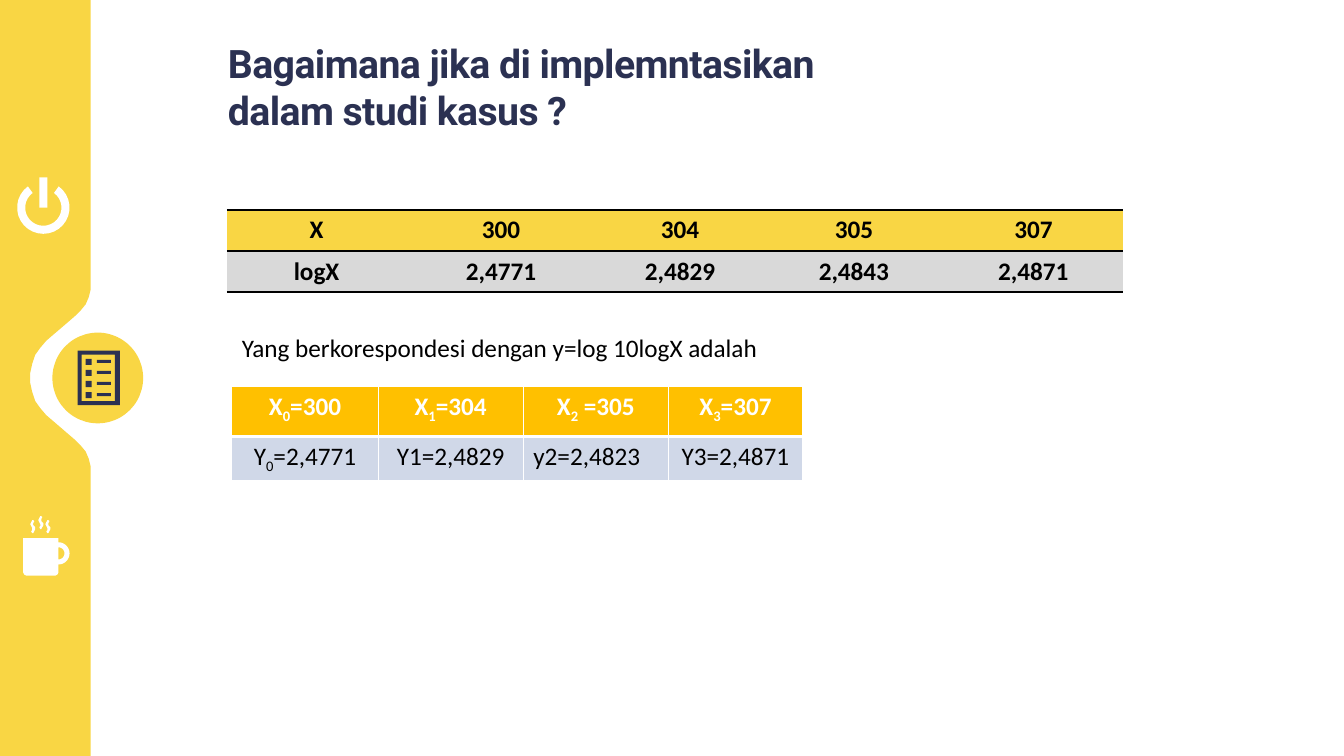
from math import cos, radians, sin
from lxml.etree import SubElement
from pptx import Presentation
from pptx.dml.color import RGBColor
from pptx.enum.shapes import MSO_SHAPE
from pptx.enum.text import MSO_ANCHOR, MSO_AUTO_SIZE, PP_ALIGN
from pptx.oxml.ns import qn
from pptx.util import Inches, Pt

YELLOW, NAVY, WHITE, BLACK = "F9D644", "2B3152", "FFFFFF", "000000"
AMBER, GREY, PALE = "FFC000", "D9D9D9", "D0D8E8"
W, H = 13.33, 7.5
NO_STYLE = "{2D5ABB26-0587-4C30-8999-92F81FD0307C}"

TITLE = "Bagaimana jika di implemntasikan dalam studi kasus ?"
CAPTION = "Yang berkorespondesi dengan y=log 10logX adalah"
LOG_ROWS = [
    ["X", "300", "304", "305", "307"],
    ["logX", "2,4771", "2,4829", "2,4843", "2,4871"],
]
PAIR_ROWS = [
    [("X", "0", "=300"), ("X", "1", "=304"), ("X", "2", " =305"), ("X", "3", "=307")],
    [("Y", "0", "=2,4771"), "Y1=2,4829", "y2=2,4823", "Y3=2,4871"],
]
BAND_EDGE = [
    (0.9, 2.84), (0.9, 2.87), (0.88, 2.95), (0.85, 3.02), (0.8, 3.08), (0.74, 3.14),
    (0.67, 3.2), (0.6, 3.26), (0.53, 3.32), (0.46, 3.38), (0.4, 3.45), (0.35, 3.52),
    (0.32, 3.61), (0.3, 3.7),
]
WISP = [
    (0.35, 5.25), (0.35, 5.23), (0.33, 5.21), (0.33, 5.19), (0.34, 5.17), (0.33, 5.16),
    (0.32, 5.16), (0.31, 5.18), (0.3, 5.2), (0.31, 5.22), (0.32, 5.24), (0.32, 5.26),
    (0.31, 5.27), (0.32, 5.29), (0.33, 5.29),
]
WISP_SHIFTS = [(0, 0), (0.08, -0.04), (0.15, 0)]


def rgb(color):
    return RGBColor.from_string(color)


def paint(sp, color):
    sp.shadow.inherit = False
    sp.fill.solid()
    sp.fill.fore_color.rgb = rgb(color)
    sp.line.fill.background()


def box(x, y, w, h):
    return [(x, y), (x + w, y), (x + w, y + h), (x, y + h)]


def arc(cx, cy, radius, start, end, steps=24):
    angles = [radians(start + (end - start) * i / steps) for i in range(steps + 1)]
    return [(cx + radius * cos(a), cy + radius * sin(a)) for a in angles]


def ring(cx, cy, outer, inner, start, end):
    return arc(cx, cy, outer, start, end) + arc(cx, cy, inner, end, start)


def add_outline(contours, color):
    contours = [[(Inches(x), Inches(y)) for x, y in points] for points in contours]
    builder = s.shapes.build_freeform(*contours[0][0])
    for i, points in enumerate(contours):
        if i:
            builder.move_to(*points[0])
        builder.add_line_segments(points[1:], close=True)
    paint(builder.convert_to_shape(), color)


def format_run(r, size, font, color, bold=False):
    r.font.size, r.font.name, r.font.bold = Pt(size), font, bold
    r.font.color.rgb = rgb(color)


def set_borders(cell, borders):
    tcPr = cell._tc.get_or_add_tcPr()
    for side in "LRTB":
        if side in borders:
            color, width = borders[side]
            ln = SubElement(tcPr, qn("a:ln" + side), w=str(Pt(width)))
            SubElement(SubElement(ln, qn("a:solidFill")), qn("a:srgbClr"), val=color)


def fill_cell(cell, content, color, font_color, bold, borders):
    set_borders(cell, borders)
    cell.fill.solid()
    cell.fill.fore_color.rgb = rgb(color)
    p = cell.text_frame.paragraphs[0]
    p.alignment = PP_ALIGN.CENTER
    parts = [content] if isinstance(content, str) else content
    for i, part in enumerate(parts):
        r = p.add_run()
        r.text = part
        format_run(r, 18, "Calibri", font_color, bold)
        if i == 1:
            r.font._element.set("baseline", "-25000")


def add_grid(rows, x, y, widths, heights, looks):
    frame = s.shapes.add_table(len(rows), len(widths), Inches(x), Inches(y),
                               Inches(sum(widths)), Inches(sum(heights)))
    table = frame.table
    table.first_row = table.horz_banding = False
    table._tbl.tblPr.find(qn("a:tableStyleId")).text = NO_STYLE
    for column, width in zip(table.columns, widths):
        column.width = Inches(width)
    for i, (row, height, look) in enumerate(zip(rows, heights, looks)):
        table.rows[i].height = Inches(height)
        for j, content in enumerate(row):
            fill_cell(table.cell(i, j), content, *look)
    return table


prs = Presentation()
prs.slide_width, prs.slide_height = Inches(W), Inches(H)
s = prs.slides.add_slide(prs.slide_layouts[5])

disc = s.shapes.add_shape(MSO_SHAPE.OVAL, *map(Inches, (0.52, 3.3, 0.9, 0.9)))
paint(disc, YELLOW)
checklist = [box(0.77, 3.48, 0.42, 0.54), box(0.81, 3.52, 0.33, 0.46)[::-1]]
for i in range(4):
    y = 3.56 + 0.11 * i
    checklist += [box(0.85, y, 0.06, 0.06), box(0.96, y + 0.01, 0.14, 0.03)]
add_outline(checklist, NAVY)

lower_edge = [(x, H - y) for x, y in reversed(BAND_EDGE)]
add_outline([[(0, 0), (0.9, 0)] + BAND_EDGE + lower_edge + [(0.9, H), (0, H)]], YELLOW)

power = [ring(0.43, 2.06, 0.26, 0.18, -54, 234), box(0.39, 1.76, 0.08, 0.3)]
mug_body = [(0.23, 5.34), (0.58, 5.34), (0.58, 5.68), (0.57, 5.7), (0.55, 5.71),
            (0.26, 5.71), (0.24, 5.7), (0.23, 5.68)]
mug = [mug_body, ring(0.58, 5.49, 0.11, 0.06, -90, 90)]
steam = [[(x + dx, y + dy) for x, y in WISP] for dx, dy in WISP_SHIFTS]
add_outline(power + mug + steam, WHITE)

title = s.shapes.title
title.left, title.top, title.width, title.height = map(Inches, (2.25, 0.38, 5.95, 1.43))
tf = title.text_frame
tf.text = TITLE
tf.word_wrap, tf.auto_size, tf.vertical_anchor = True, MSO_AUTO_SIZE.NONE, MSO_ANCHOR.TOP
tf.margin_right = tf.margin_bottom = 0
tf.margin_left = tf.margin_top = Inches(0.01)
p = tf.paragraphs[0]
p.alignment, p.space_before = PP_ALIGN.LEFT, Pt(1)
format_run(p.runs[0], 28, "Roboto", NAVY, True)
p.runs[0].font._element.set("spc", "-40")

rules = {"T": (BLACK, 1.5), "B": (BLACK, 1.5)}
add_grid(LOG_ROWS, 2.25, 2.08, [1.78, 1.88, 1.67, 1.78, 1.78], [0.41, 0.41],
         [(YELLOW, BLACK, True, rules), (GREY, BLACK, True, rules)])

caption = s.shapes.add_textbox(Inches(2.3), Inches(3.25), Inches(6.45), Inches(0.4))
caption.text_frame.word_wrap = True
caption.text_frame.text = CAPTION
format_run(caption.text_frame.paragraphs[0].runs[0], 18, "Calibri", BLACK)

thin, thick = (WHITE, 1), (WHITE, 3)
pairs = add_grid(PAIR_ROWS, 2.3, 3.83, [1.45, 1.44, 1.44, 1.33], [0.5, 0.44],
                 [(AMBER, WHITE, True, {"L": thin, "R": thin, "T": thin, "B": thick}),
                  (PALE, BLACK, False, {"L": thin, "R": thin, "T": thick, "B": thin})])
pairs.cell(1, 2).text_frame.paragraphs[0].alignment = PP_ALIGN.LEFT

prs.save("out.pptx")
